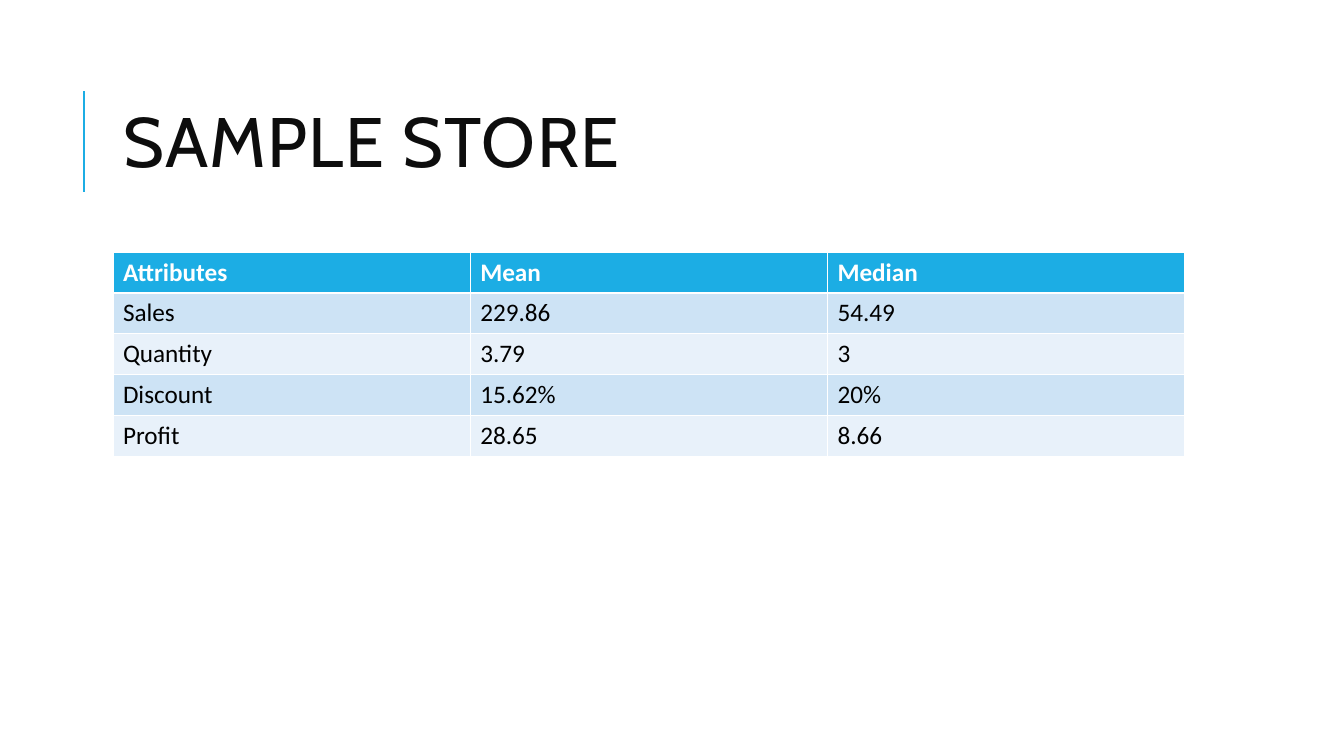
from lxml.etree import SubElement
from pptx import Presentation
from pptx.dml.color import RGBColor
from pptx.enum.shapes import MSO_CONNECTOR
from pptx.enum.text import MSO_ANCHOR, MSO_AUTO_SIZE, PP_ALIGN
from pptx.oxml.ns import qn
from pptx.util import Inches, Pt

ACCENT = RGBColor(0x1C, 0xAD, 0xE4)
BAND_DARK = RGBColor(0xCD, 0xE3, 0xF5)
BAND_LIGHT = RGBColor(0xE8, 0xF1, 0xFA)
INK = RGBColor(0x0D, 0x0D, 0x0D)
BLACK = RGBColor(0, 0, 0)
WHITE = RGBColor(0xFF, 0xFF, 0xFF)

STATISTICS = [
    ("Attributes", "Mean", "Median"),
    ("Sales", "229.86", "54.49"),
    ("Quantity", "3.79", "3"),
    ("Discount", "15.62%", "20%"),
    ("Profit", "28.65", "8.66"),
]


def set_attrs(obj, values):
    for name, value in values.items():
        setattr(obj, name, value)


def add_text(tf, text, color, font):
    p = tf.paragraphs[0]
    p.alignment = PP_ALIGN.LEFT
    r = p.add_run()
    r.text = text
    set_attrs(r.font, font)
    r.font.color.rgb = color
    return p, r


def add_title(s, text, left, top, width, height):
    sp = s.shapes.title
    set_attrs(sp, {"left": Inches(left), "top": Inches(top),
                   "width": Inches(width), "height": Inches(height)})
    tf = sp.text_frame
    set_attrs(tf, {"word_wrap": True, "auto_size": MSO_AUTO_SIZE.NONE,
                   "vertical_anchor": MSO_ANCHOR.MIDDLE})
    p, r = add_text(tf, text, INK, {"name": "Cabin", "size": Pt(50)})
    p.line_spacing = 0.8
    r.font._element.set("spc", "100")

    x = Inches(left - 0.29)
    rule = s.shapes.add_connector(
        MSO_CONNECTOR.STRAIGHT, x, Inches(top + 1.26), x, Inches(top + 0.26))
    rule.line.color.rgb = ACCENT
    rule.line.width = Pt(1.5)
    SubElement(rule._element.spPr, qn("a:effectLst"))


def add_statistics(s, rows, left, top, width, height):
    table = s.shapes.add_table(
        len(rows), len(rows[0]), Inches(left), Inches(top),
        Inches(width), Inches(height)).table
    for i, row in enumerate(rows):
        header = i == 0
        fill = ACCENT if header else BAND_DARK if i % 2 else BAND_LIGHT
        for j, text in enumerate(row):
            cell = table.cell(i, j)
            cell.fill.solid()
            cell.fill.fore_color.rgb = fill
            add_text(cell.text_frame, text, WHITE if header else BLACK,
                     {"name": "Calibri", "size": Pt(18), "bold": header})


def main():
    prs = Presentation()
    set_attrs(prs, {"slide_width": Inches(13.33), "slide_height": Inches(7.5)})
    s = prs.slides.add_slide(prs.slide_layouts[5])
    add_title(s, "SAMPLE STORE", 1.12, 0.64, 10.63, 1.64)
    add_statistics(s, STATISTICS, 1.12, 2.5, 10.63, 2.03)
    prs.save("out.pptx")


if __name__ == "__main__":
    main()
